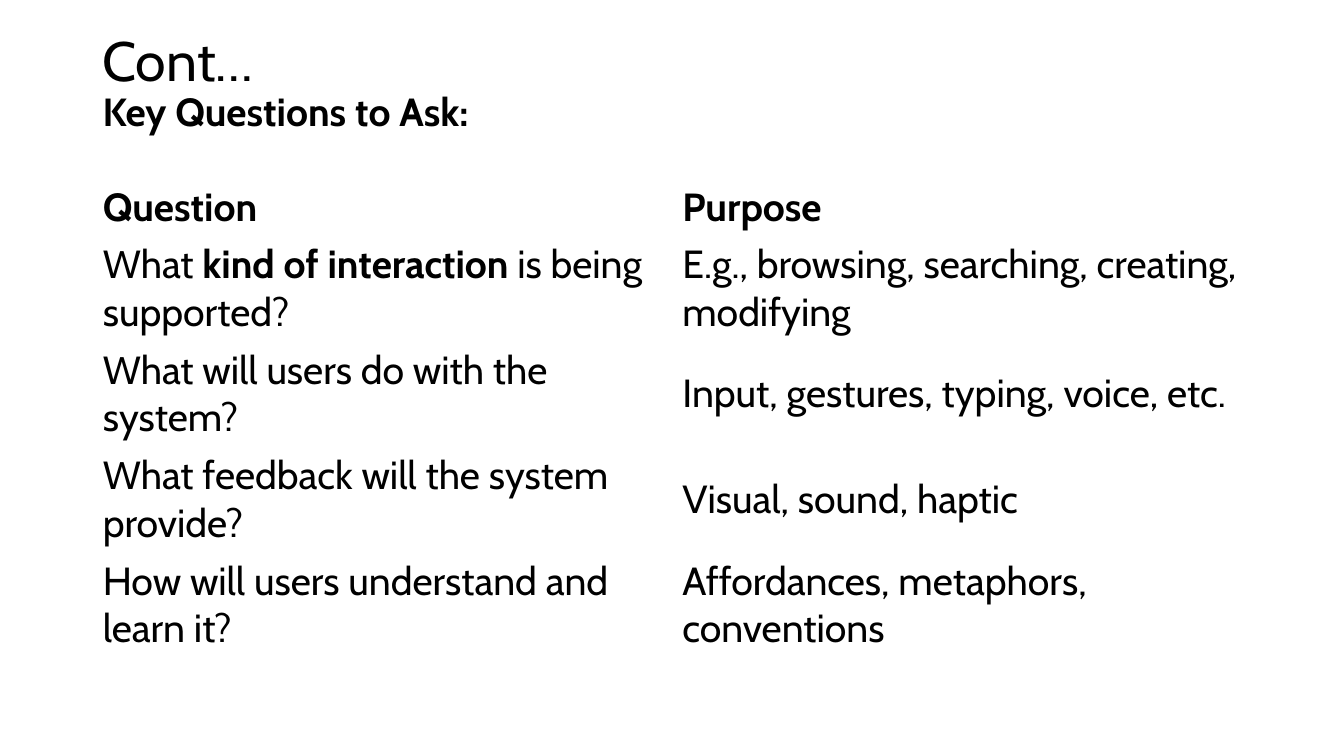
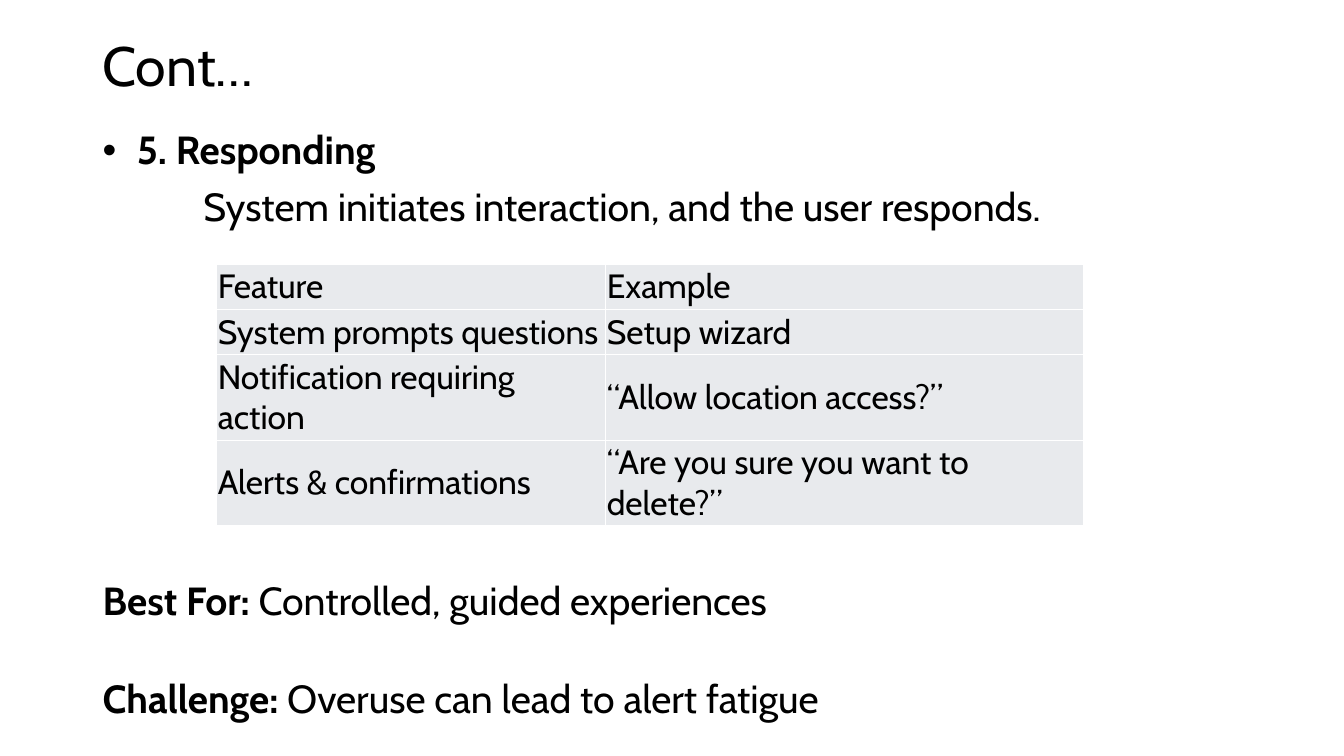
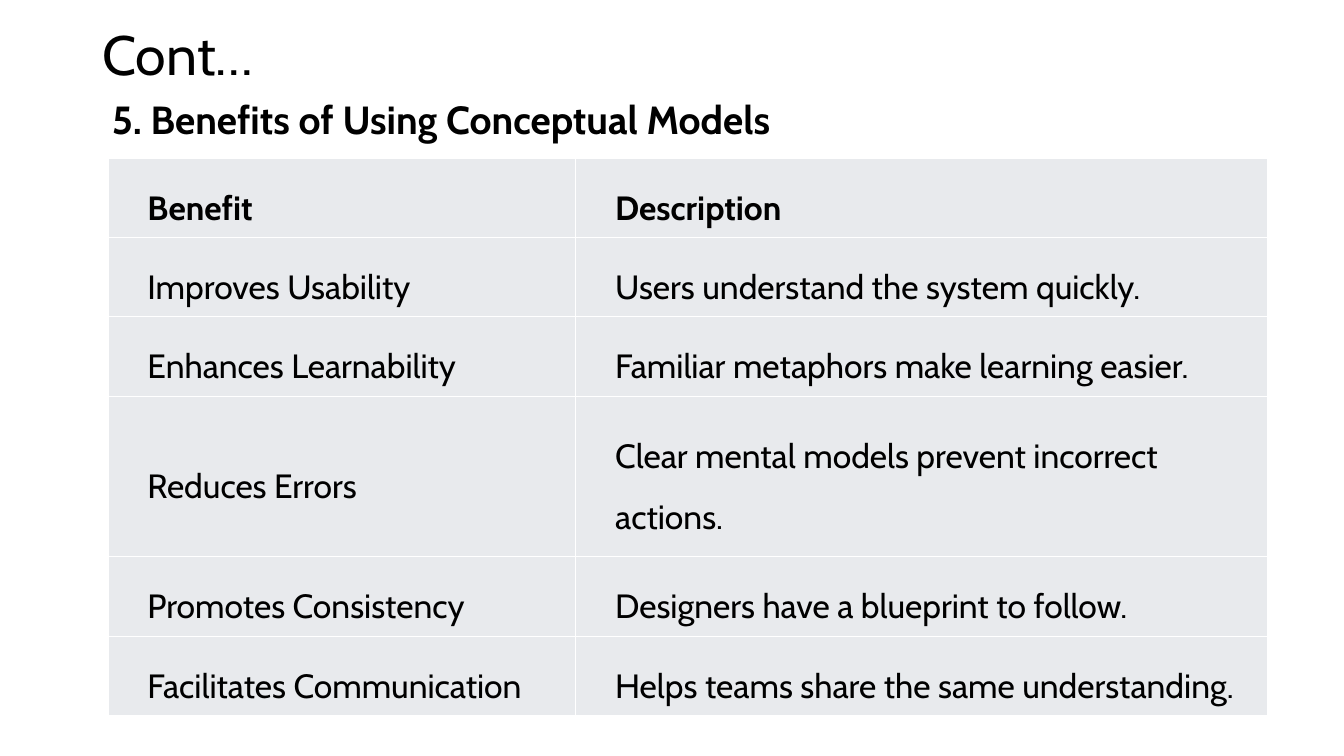
from dataclasses import dataclass

from lxml.etree import SubElement
from pptx import Presentation
from pptx.dml.color import RGBColor
from pptx.enum.text import MSO_ANCHOR
from pptx.oxml.ns import qn
from pptx.util import Emu, Inches, Pt


@dataclass(frozen=True)
class Theme:
    """Colours, type sizes, bullets and measures shared by the slides."""
    font: str = "Cabin"
    ink: RGBColor = RGBColor(0x00, 0x00, 0x00)
    paper: RGBColor = RGBColor(0xFF, 0xFF, 0xFF)
    cell: RGBColor = RGBColor(0xE8, 0xEA, 0xED)
    title_size: float = 39.6
    body_size: float = 28
    table_size: float = 24
    tight: float = 0.9
    loose: float = 1.5
    left: float = 6.9
    width: float = 86.25
    title_top: float = 5.33
    dot_bullet: tuple = ("Arial", "•")
    clock_bullet: tuple = ("Wingdings", "·")


THEME = Theme()
SLIDE_WIDTH, SLIDE_HEIGHT = Inches(13.333), Inches(7.5)


def across(percent):
    """Return a percentage of the slide width."""
    return Emu(round(SLIDE_WIDTH * percent / 100))


def down(percent):
    """Return a percentage of the slide height."""
    return Emu(round(SLIDE_HEIGHT * percent / 100))


def add_bullet(properties, indent, bullet):
    """Hang a (font, character) bullet in the paragraph indent."""
    typeface, character = bullet
    properties.set("indent", str(-Inches(indent)))
    font = SubElement(properties, qn("a:buFont"))
    font.set("typeface", typeface)
    if bullet == THEME.clock_bullet:
        font.set("pitchFamily", "2")
        font.set("charset", "2")
    SubElement(properties, qn("a:buChar")).set("char", character)


def write(para, runs, size, spacing=None, before=None, indent=0, bullet=None):
    """Fill a paragraph with (text, bold) runs."""
    properties = para._p.get_or_add_pPr()
    if indent:
        properties.set("marL", str(Inches(indent)))
    if bullet:
        add_bullet(properties, indent, bullet)
    if spacing:
        para.line_spacing = spacing
    if before:
        para.space_before = Pt(before)
    for text, bold in runs:
        span = para.add_run()
        span.text = text
        span.font.name = THEME.font
        span.font.size = Pt(size)
        span.font.bold = bold
        span.font.color.rgb = THEME.ink


def add_text(page, top, height, paragraphs, size=THEME.body_size, anchor=MSO_ANCHOR.TOP):
    """Add a full-width text box of (runs, options) paragraphs."""
    box = page.shapes.add_textbox(across(THEME.left), down(top), across(THEME.width), down(height))
    frame = box.text_frame
    frame.word_wrap = True
    frame.vertical_anchor = anchor
    for index, (runs, options) in enumerate(paragraphs):
        para = frame.add_paragraph() if index else frame.paragraphs[0]
        write(para, runs, size, spacing=THEME.tight, **options)


def add_page(deck, title_height):
    """Add a blank slide with the shared title."""
    page = deck.slides.add_slide(deck.slide_layouts[6])
    page.background.fill.solid()
    page.background.fill.fore_color.rgb = THEME.paper
    add_text(page, THEME.title_top, title_height, [([("Cont…", False)], {})],
             THEME.title_size, MSO_ANCHOR.MIDDLE)
    return page


def shade(cell):
    """Give a cell thin margins, a fill and pale borders."""
    cell.margin_left = cell.margin_right = cell.margin_top = cell.margin_bottom = Inches(0.01)
    properties = cell._tc.get_or_add_tcPr()
    for side in ("lnL", "lnR", "lnT", "lnB"):
        line = SubElement(properties, qn(f"a:{side}"))
        line.set("w", str(Pt(1)))
        paint = SubElement(line, qn("a:solidFill"))
        SubElement(paint, qn("a:srgbClr")).set("val", str(THEME.paper))
    cell.fill.solid()
    cell.fill.fore_color.rgb = THEME.cell


def add_grid(page, place, columns, heights, rows, size, shaded=True, bold_header=False, **style):
    """Add a table whose columns and rows share the place by weight."""
    left, top, width, height = place
    frame = page.shapes.add_table(len(rows), len(columns), across(left), down(top),
                                  across(width), down(height))
    table = frame.table
    table.first_row = table.horz_banding = False
    for column, weight in zip(table.columns, columns):
        column.width = across(width * weight / sum(columns))
    for row, weight in zip(table.rows, heights):
        row.height = down(height * weight / sum(heights))
    for row_index, texts in enumerate(rows):
        for column_index, content in enumerate(texts):
            cell = table.cell(row_index, column_index)
            cell.vertical_anchor = MSO_ANCHOR.MIDDLE
            if shaded:
                shade(cell)
            else:
                cell.fill.background()
            bold = bold_header and row_index == 0
            runs = [(content, bold)] if isinstance(content, str) else content
            write(cell.text_frame.paragraphs[0], runs, size, **style)


def add_questions(deck):
    """Build the slide of key questions."""
    page = add_page(deck, 6.27)
    add_text(page, 11.6, 8, [([("Key Questions to Ask:", True)], {})])
    rows = [
        ("Question", "Purpose"),
        ([("What ", False), ("kind of interaction", True), (" is being supported?", False)],
         "E.g., browsing, searching, creating, modifying"),
        ("What will users do with the system?", "Input, gestures, typing, voice, etc."),
        ("What feedback will the system provide?", "Visual, sound, haptic"),
        ("How will users understand and learn it?", "Affordances, metaphors, conventions"),
    ]
    add_grid(page, (THEME.left, 23.6, THEME.width, 63.4), (1, 1), (57, 105, 105, 105, 105), rows,
             THEME.body_size, shaded=False, bold_header=True)


def add_responding(deck):
    """Build the slide on the responding interaction type."""
    page = add_page(deck, 7.6)
    add_text(page, 16.67, 16, [
        ([("5. Responding", True)], {"indent": 0.34, "bullet": THEME.dot_bullet}),
        ([("System initiates interaction, and the user responds.", False)],
         {"indent": 1, "before": 10}),
    ])
    rows = [
        ("Feature", "Example"),
        ("System prompts questions", "Setup wizard"),
        ("Notification requiring action", "“Allow location access?”"),
        ("Alerts & confirmations", "“Are you sure you want to delete?”"),
    ]
    add_grid(page, (16.13, 34.95, 64.5, 34.6), (386, 474), (9, 9, 17, 17), rows, THEME.table_size)
    add_text(page, 76.27, 20.13, [
        ([("Best For:", True), (" Controlled, guided experiences", False)], {}),
        ([("Challenge:", True), (" Overuse can lead to alert fatigue", False)], {"before": 40}),
    ])


def add_benefits(deck):
    """Build the slide on the benefits of conceptual models."""
    page = add_page(deck, 4.67)
    add_text(page, 12.67, 8,
             [([("5. Benefits of Using Conceptual Models", True)], {"indent": 0.09})])
    rows = [
        ("Benefit", "Description"),
        ("Improves Usability", "Users understand the system quickly."),
        ("Enhances Learnability", "Familiar metaphors make learning easier."),
        ("Reduces Errors", "Clear mental models prevent incorrect actions."),
        ("Promotes Consistency", "Designers have a blueprint to follow."),
        ("Facilitates Communication", "Helps teams share the same understanding."),
    ]
    add_grid(page, (8.05, 20.93, THEME.width, 73.73), (464, 686), (79, 79, 79, 160, 79, 79), rows,
             THEME.table_size, bold_header=True, spacing=THEME.loose, indent=0.38,
             bullet=THEME.clock_bullet)


def main():
    """Build and save the deck."""
    deck = Presentation()
    deck.slide_width, deck.slide_height = SLIDE_WIDTH, SLIDE_HEIGHT
    add_questions(deck)
    add_responding(deck)
    add_benefits(deck)
    deck.save("out.pptx")


if __name__ == "__main__":
    main()
